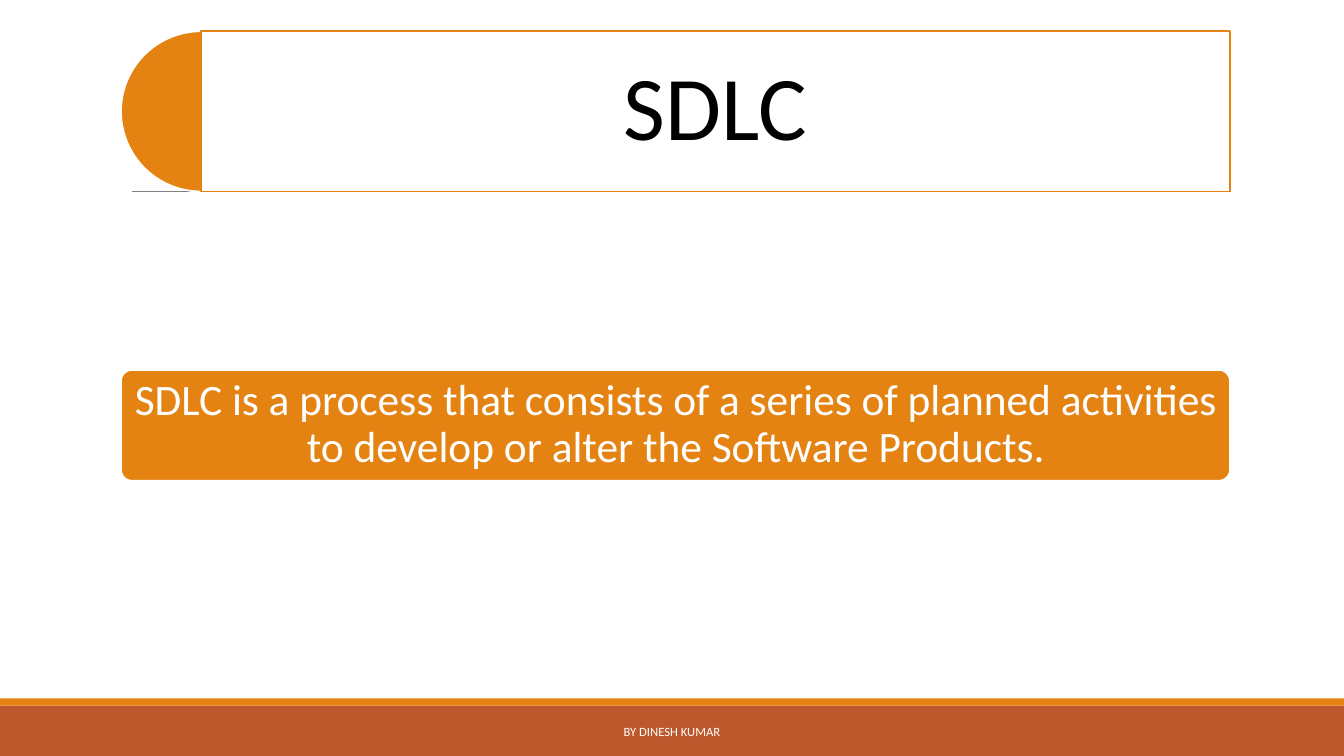
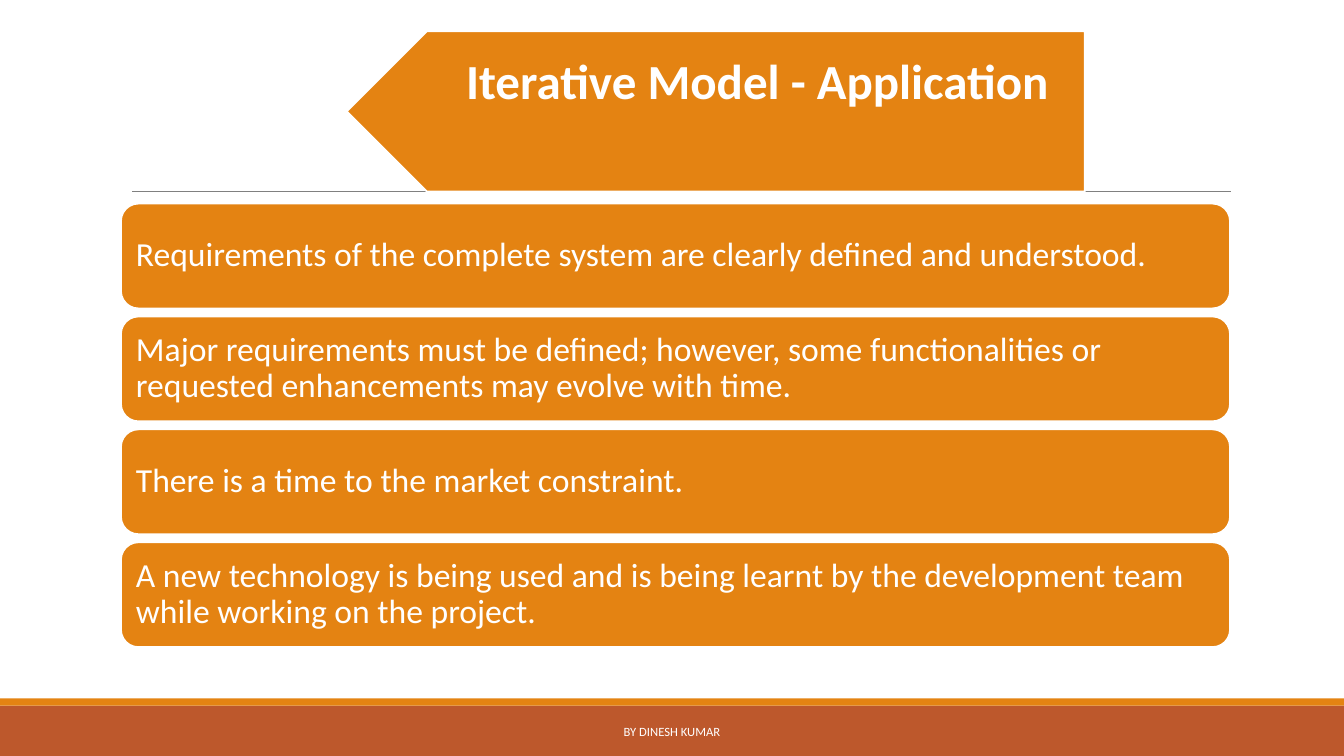
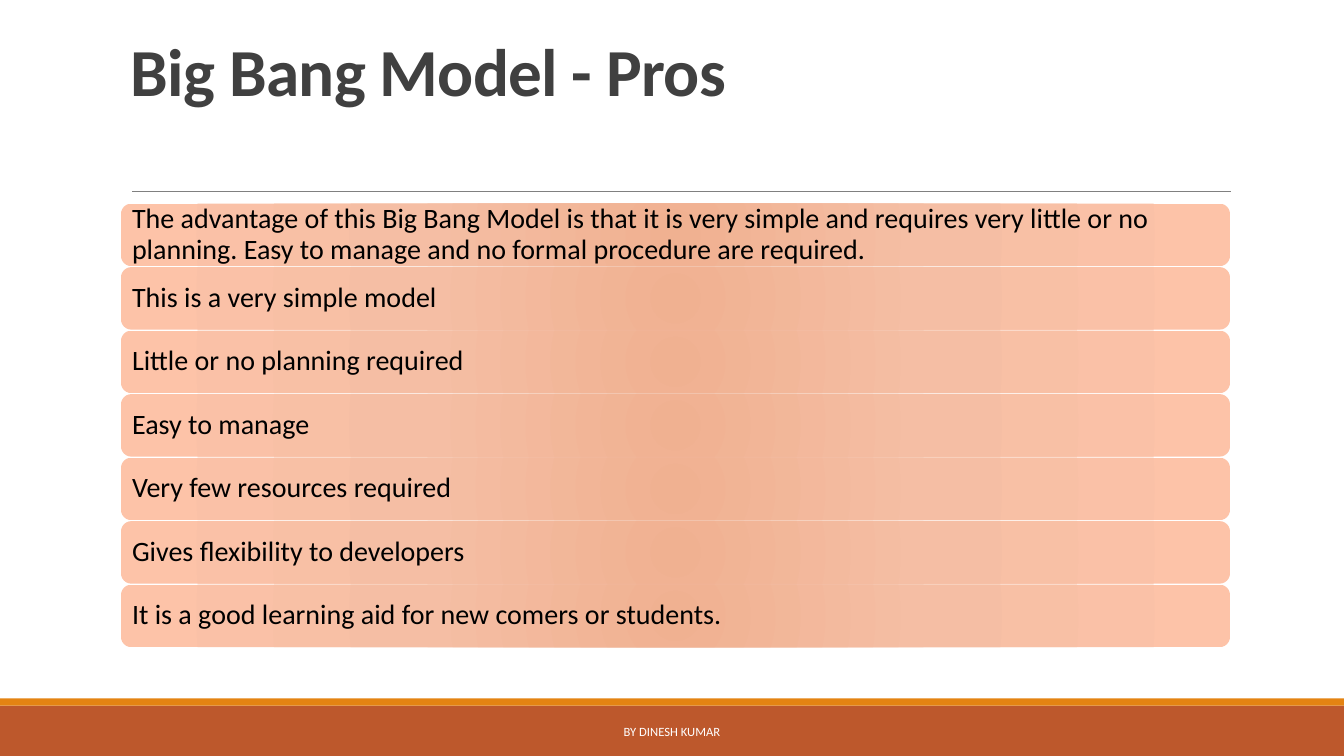
from lxml import etree
from pptx import Presentation
from pptx.dml.color import RGBColor
from pptx.enum.shapes import MSO_CONNECTOR, MSO_SHAPE
from pptx.enum.text import MSO_ANCHOR, PP_ALIGN
from pptx.oxml import parse_xml
from pptx.oxml.ns import nsdecls, qn
from pptx.util import Inches, Pt

RECTANGLE = MSO_SHAPE.RECTANGLE
ROUNDED = MSO_SHAPE.ROUNDED_RECTANGLE
PIE = MSO_SHAPE.PIE
PENTAGON = MSO_SHAPE.PENTAGON
STRAIGHT = MSO_CONNECTOR.STRAIGHT
LEFT, CENTER = PP_ALIGN.LEFT, PP_ALIGN.CENTER
MIDDLE, BOTTOM = MSO_ANCHOR.MIDDLE, MSO_ANCHOR.BOTTOM

WHITE = RGBColor(0xFF, 0xFF, 0xFF)
BLACK = RGBColor(0x00, 0x00, 0x00)
CHARCOAL = RGBColor(0x40, 0x40, 0x40)
GRAY = RGBColor(0x80, 0x80, 0x80)
ORANGE = RGBColor(0xE4, 0x83, 0x12)
RUST = RGBColor(0xBD, 0x58, 0x2C)
PEACH_STOPS = [
    (0, RGBColor(0xF0, 0xB1, 0x91)),
    (45, RGBColor(0xF5, 0xBE, 0xA4)),
    (100, RGBColor(0xFD, 0xC3, 0xA8)),
]

FONT = "Calibri"
PAGE_WIDTH, PAGE_HEIGHT = 13.33, 7.5
CONTENT_LEFT, CONTENT_WIDTH = 1.2, 11
TITLE_TOP, TITLE_HEIGHT = 0.31, 1.59
LIST_TOP, LIST_BOTTOM = 2.02, 6.42

FOOTER = "BY DINESH KUMAR"
SDLC_TITLE = "SDLC"
SDLC_DEFINITION = (
    "SDLC is a process that consists of a series of planned activities "
    "to develop or alter the Software Products."
)
ITERATIVE_TITLE = "Iterative Model - Application"
ITERATIVE_USES = [
    "Requirements of the complete system are clearly defined and understood.",
    "Major requirements must be defined; however, some functionalities or "
    "requested enhancements may evolve with time.",
    "There is a time to the market constraint.",
    "A new technology is being used and is being learnt by the development "
    "team while working on the project.",
]
BIG_BANG_TITLE = "Big Bang Model - Pros"
BIG_BANG_PROS = [
    "The advantage of this Big Bang Model is that it is very simple and "
    "requires very little or no planning. Easy to manage and no formal "
    "procedure are required.",
    "This is a very simple model",
    "Little or no planning required",
    "Easy to manage",
    "Very few resources required",
    "Gives flexibility to developers",
    "It is a good learning aid for new comers or students.",
]


def write(shape, text, size, color=WHITE, bold=False, align=LEFT, anchor=MIDDLE,
          insets=(0.1, 0.05, 0.1, 0.05), line_spacing=0.9, tracking=None):
    frame = shape.text_frame
    frame.word_wrap = True
    frame.vertical_anchor = anchor
    (frame.margin_left, frame.margin_top,
     frame.margin_right, frame.margin_bottom) = map(Inches, insets)
    para = frame.paragraphs[0]
    para.alignment = align
    para.line_spacing = line_spacing
    span = para.add_run()
    span.text = text
    span.font.name = FONT
    span.font.size = Pt(size)
    span.font.bold = bold
    span.font.color.rgb = color
    if tracking is not None:
        span.font._element.set("spc", str(round(tracking * 100)))


def add_box(page, kind, left, top, width, height, fill=None, line=None):
    box = page.shapes.add_shape(
        kind, Inches(left), Inches(top), Inches(width), Inches(height))
    box.shadow.inherit = False
    if fill is None:
        box.fill.background()
    else:
        box.fill.solid()
        box.fill.fore_color.rgb = fill
    if line is None:
        box.line.fill.background()
    else:
        box.line.color.rgb = line
        box.line.width = Pt(1.25)
    return box


def add_text_box(page, left, top, width, height, text, **text_format):
    box = page.shapes.add_textbox(
        Inches(left), Inches(top), Inches(width), Inches(height))
    write(box, text, **text_format)


def set_opacity(box, percent):
    color = box._element.spPr.find(qn("a:solidFill"))[0]
    etree.SubElement(color, qn("a:alpha")).set("val", str(percent * 1000))


def set_radial_fill(box, stops):
    stop_xml = "".join(
        f'<a:gs pos="{position * 1000}"><a:srgbClr val="{color}"/></a:gs>'
        for position, color in stops)
    gradient = parse_xml(
        f'<a:gradFill {nsdecls("a")} rotWithShape="1"><a:gsLst>{stop_xml}</a:gsLst>'
        '<a:path path="circle"><a:fillToRect l="100000" t="100000" '
        'r="100000" b="100000"/></a:path></a:gradFill>')
    properties = box._element.spPr
    properties.replace(properties.find(qn("a:noFill")), gradient)


def add_page(deck):
    page = deck.slides.add_slide(deck.slide_layouts[6])
    add_box(page, RECTANGLE, 0, 7, PAGE_WIDTH, 0.5, fill=RUST)
    add_box(page, RECTANGLE, 0, 6.93, PAGE_WIDTH, 0.07, fill=ORANGE)
    rule = page.shapes.add_connector(
        STRAIGHT, Inches(1.31), Inches(1.9), Inches(12.21), Inches(1.9))
    rule.line.color.rgb = GRAY
    rule.line.width = Pt(0.5)
    etree.SubElement(rule._element.spPr, qn("a:effectLst"))
    add_text_box(page, 4.03, 7.06, 5.27, 0.4, FOOTER,
                 size=9, align=CENTER, line_spacing=1)
    return page


def add_list(page, items, gap, inset, line=None, gradient=None, **text_format):
    height = (LIST_BOTTOM - LIST_TOP - gap * (len(items) - 1)) / len(items)
    for index, item in enumerate(items):
        bar = add_box(page, ROUNDED, CONTENT_LEFT, LIST_TOP + index * (height + gap),
                      CONTENT_WIDTH, height,
                      fill=None if gradient else ORANGE, line=line)
        if gradient:
            set_radial_fill(bar, gradient)
        write(bar, item, insets=(inset,) * 4, **text_format)


def build_sdlc(deck):
    page = add_page(deck)
    half_disc = add_box(page, PIE, CONTENT_LEFT, TITLE_TOP, TITLE_HEIGHT, TITLE_HEIGHT,
                        fill=ORANGE, line=WHITE)
    half_disc.adjustments[0] = 54
    half_disc.adjustments[1] = 162
    panel = add_box(page, RECTANGLE, 1.99, TITLE_TOP, 10.21, TITLE_HEIGHT,
                    fill=WHITE, line=ORANGE)
    set_opacity(panel, 90)
    write(panel, SDLC_TITLE, size=65, color=BLACK, align=CENTER, insets=(0.27,) * 4)
    definition = add_box(page, ROUNDED, CONTENT_LEFT, 3.67, CONTENT_WIDTH, 1.1,
                         fill=ORANGE, line=WHITE)
    definition.adjustments[0] = 0.1
    write(definition, SDLC_DEFINITION, size=31, align=CENTER,
          insets=(0.06, 0.04, 0.06, 0.04))


def build_iterative(deck):
    page = add_page(deck)
    banner = add_box(page, PENTAGON, 3.44, TITLE_TOP, 7.32, TITLE_HEIGHT,
                     fill=ORANGE, line=WHITE)
    banner._element.spPr.find(qn("a:xfrm")).set("flipH", "1")
    write(banner, ITERATIVE_TITLE, size=35, bold=True, align=CENTER,
          insets=(0.7, 0.15, 0.27, 0.7))
    add_list(page, ITERATIVE_USES, gap=0.08, inset=0.1, line=WHITE, size=24)


def build_big_bang(deck):
    page = add_page(deck)
    add_text_box(page, CONTENT_LEFT, TITLE_TOP, CONTENT_WIDTH, TITLE_HEIGHT,
                 BIG_BANG_TITLE, size=48, color=CHARCOAL, bold=True, anchor=BOTTOM,
                 insets=(0.1, 0.05, 0.1, 0.81), line_spacing=0.85, tracking=-0.5)
    add_list(page, BIG_BANG_PROS, gap=0.01, inset=0.08, gradient=PEACH_STOPS,
             size=20, color=BLACK)


def main():
    deck = Presentation()
    deck.slide_width = Inches(PAGE_WIDTH)
    deck.slide_height = Inches(PAGE_HEIGHT)
    build_sdlc(deck)
    build_iterative(deck)
    build_big_bang(deck)
    deck.save("out.pptx")


if __name__ == "__main__":
    main()
